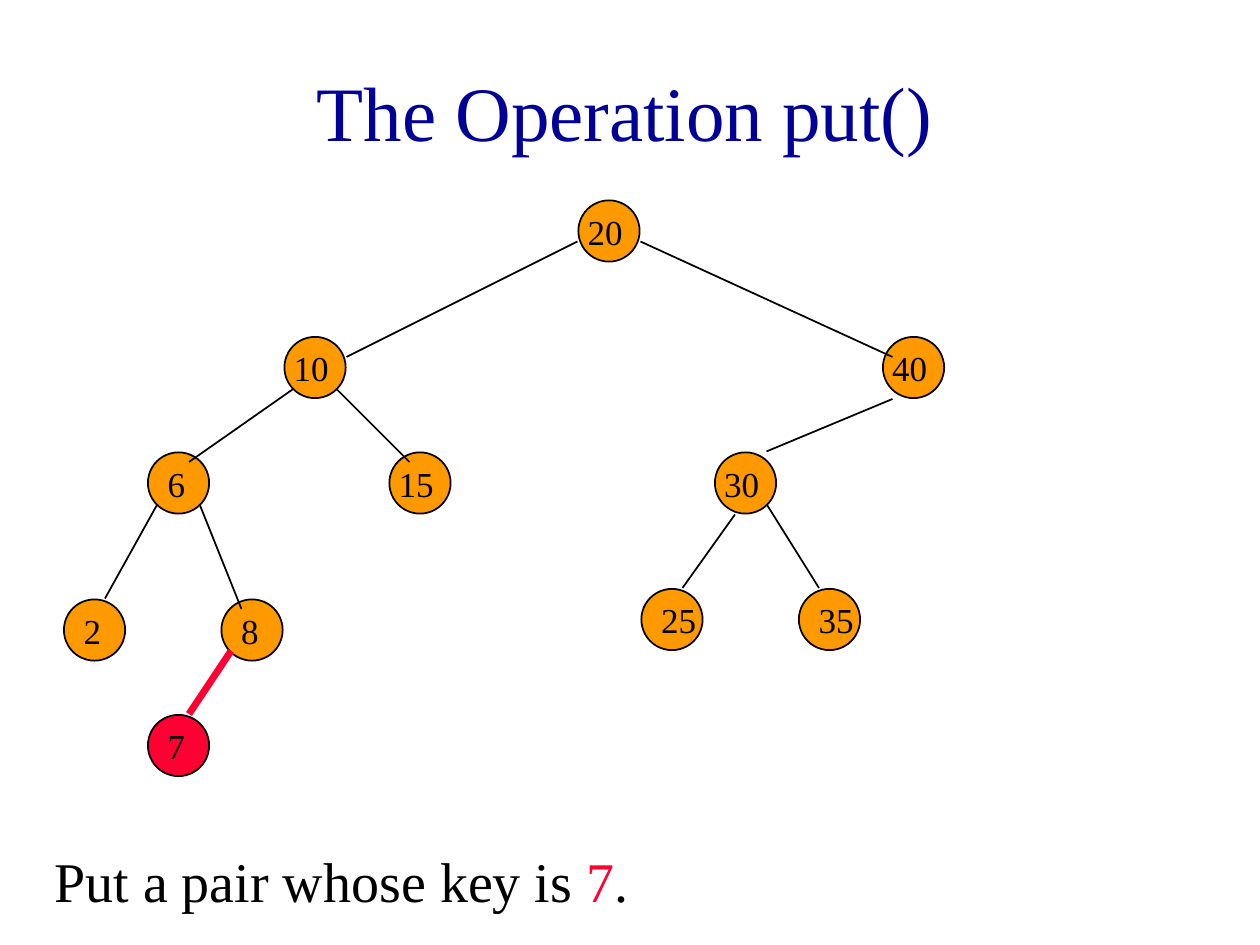
"""Build the slide showing put() of key 7 into a binary search tree."""
from pptx import Presentation
from pptx.dml.color import RGBColor
from pptx.enum.shapes import MSO_CONNECTOR, MSO_SHAPE
from pptx.enum.text import MSO_ANCHOR, MSO_AUTO_SIZE, PP_ALIGN
from pptx.oxml.ns import qn
from pptx.util import Pt

COLORS = {"title": "000099", "text": "000000", "node": "FF9900", "new": "FF0033"}
FONT = "Times New Roman"
DIAMETER = 35
TITLE = [("The Operation put()", "title")]
CAPTION = [("Put a pair whose key is ", "text"), ("7", "new"), (".", "text")]

# key, left, top, label inset, fill
NODES = [
    ("20", 330.5, 114.5, -1.75, "node"),
    ("10", 162.5, 192.5, -1.75, "node"),
    ("40", 504.5, 192.5, -1.75, "node"),
    ("6", 84.5, 258.5, 4.25, "node"),
    ("15", 222.5, 258.5, -1.75, "node"),
    ("30", 408.5, 258.5, -1.75, "node"),
    ("2", 36.5, 342.5, 4.25, "node"),
    ("8", 126.5, 342.5, 4.25, "node"),
    ("25", 366.5, 336.5, 4.25, "node"),
    ("35", 456.5, 336.5, 4.25, "node"),
    ("7", 84.5, 408.5, 4.25, "new"),
]

EDGES = [
    (330, 138, 198, 204, "text", 1),
    (366, 138, 510, 204, "text", 1),
    (168, 222, 108, 264, "text", 1),
    (192, 222, 234, 264, "text", 1),
    (510, 228, 438, 258, "text", 1),
    (90, 288, 60, 342, "text", 1),
    (114, 288, 138, 348, "text", 1),
    (420, 294, 390, 336, "text", 1),
    (438, 288, 468, 336, "text", 1),
    (132, 372, 108, 408, "new", 4),
]


def rgb(name):
    return RGBColor.from_string(COLORS[name])


def add_text(slide, box, runs, size, wrap=True):
    tf = slide.shapes.add_textbox(*map(Pt, box)).text_frame
    tf.word_wrap = wrap
    p = tf.paragraphs[0]
    p.font.size = Pt(size)
    p.font.name = FONT
    for text, color in runs:
        r = p.add_run()
        r.text = text
        r.font.color.rgb = rgb(color)
    return tf


def add_node(slide, left, top, fill):
    sp = slide.shapes.add_shape(
        MSO_SHAPE.OVAL, Pt(left), Pt(top), Pt(DIAMETER), Pt(DIAMETER))
    sp.shadow.inherit = False
    sp.fill.solid()
    sp.fill.fore_color.rgb = rgb(fill)
    sp.line.color.rgb = rgb("text")
    sp.line.width = Pt(1)


def add_edge(slide, ends, color, width):
    line = slide.shapes.add_connector(MSO_CONNECTOR.STRAIGHT, *map(Pt, ends))
    line.line.color.rgb = rgb(color)
    line.line.width = Pt(width)
    sp_pr = line._element.spPr
    sp_pr.append(sp_pr.makeelement(qn("a:effectLst"), {}))


def main():
    prs = Presentation()
    prs.slide_width, prs.slide_height = Pt(720), Pt(540)
    slide = prs.slides.add_slide(prs.slide_layouts[6])

    tf = add_text(slide, (6, 18, 702, 90), TITLE, 44)
    tf.vertical_anchor = MSO_ANCHOR.MIDDLE
    tf.paragraphs[0].alignment = PP_ALIGN.CENTER
    add_text(slide, (24, 480, 648, 45), CAPTION, 32)

    for key, left, top, inset, fill in NODES:
        add_node(slide, left, top, fill)
    for *ends, color, width in EDGES:
        add_edge(slide, ends, color, width)
    for key, left, top, inset, fill in NODES:
        box = (left + inset, top + 2, 14.4 + 10 * len(key), 31)
        tf = add_text(slide, box, [(key, "text")], 20, wrap=False)
        tf.auto_size = MSO_AUTO_SIZE.SHAPE_TO_FIT_TEXT

    prs.save("out.pptx")


if __name__ == "__main__":
    main()
